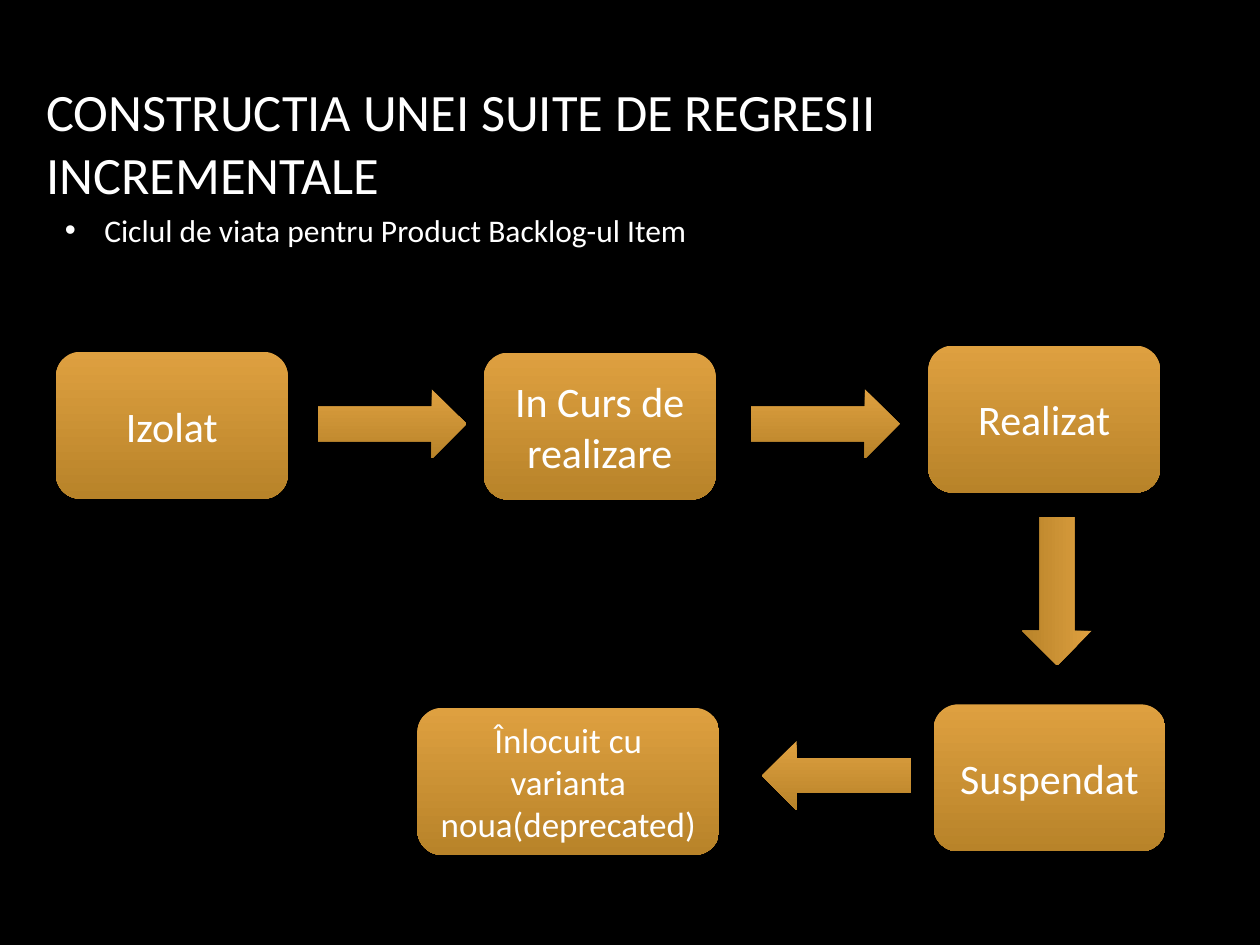
import pptx
import pptx.util
import pptx.dml.color
import pptx.enum.shapes
import pptx.enum.text
import lxml.etree

Pt = pptx.util.Pt
RGBColor = pptx.dml.color.RGBColor
MSO_SHAPE = pptx.enum.shapes.MSO_SHAPE
PP_ALIGN = pptx.enum.text.PP_ALIGN

BLACK = RGBColor(0x00, 0x00, 0x00)
WHITE = RGBColor(0xFF, 0xFF, 0xFF)
GOLD = RGBColor(0xDE, 0xA0, 0x40)
BRONZE = RGBColor(0xB8, 0x83, 0x29)
FONT = "Calibri"

TITLE = ("CONSTRUCTIA UNEI SUITE DE REGRESII INCREMENTALE", (19.5, 48, 684.5, 66.5), 30)
SUBTITLE = ("Ciclul de viata pentru Product Backlog-ul Item", (30, 114, 660, 34.5), 18)
BULLET_INDENT = 22.5

STATE_WIDTH, STATE_HEIGHT = 132.5, 84
STATES = [
    ("Izolat", 32, 201, STATE_WIDTH, 24),
    ("In Curs de realizare", 276.5, 201.5, STATE_WIDTH, 24),
    ("Realizat", 530.5, 197.5, STATE_WIDTH, 24),
    ("Suspendat", 533.5, 402.5, STATE_WIDTH, 24),
    ("Înlocuit cu varianta noua(deprecated)", 238.5, 404.5, 172.5, 20),
]

STEP_WIDTH, STEP_HEIGHT = 85, 39.5
STEPS = [
    (181.5, 222.5, 0, False),
    (429, 222.5, 0, False),
    (561.5, 318, 90, False),
    (435.5, 423.5, 0, True),
]


def write(shape, text, size, align):
    frame = shape.text_frame
    frame.word_wrap = True
    frame.vertical_anchor = pptx.enum.text.MSO_ANCHOR.MIDDLE
    frame.text = text
    paragraph = frame.paragraphs[0]
    paragraph.alignment = align
    font = paragraph.runs[0].font
    font.name = FONT
    font.size = Pt(size)
    font.color.rgb = WHITE
    return paragraph


def add_heading(slide, text, box, size):
    heading = slide.shapes.add_textbox(*map(Pt, box))
    return write(heading, text, size, PP_ALIGN.LEFT)


def add_bullet(paragraph):
    paragraph.space_after = Pt(10)
    properties = paragraph._p.get_or_add_pPr()
    properties.set("marL", str(Pt(BULLET_INDENT)))
    properties.set("indent", str(-Pt(BULLET_INDENT)))
    bullet_font = lxml.etree.SubElement(properties, pptx.oxml.ns.qn("a:buFont"))
    bullet_font.set("typeface", "Arial")
    bullet = lxml.etree.SubElement(properties, pptx.oxml.ns.qn("a:buChar"))
    bullet.set("char", "•")


def add_gold_shape(slide, kind, *box):
    shape = slide.shapes.add_shape(kind, *map(Pt, box))
    shape.shadow.inherit = False
    shape.line.fill.background()
    shape.fill.gradient()
    shape.fill.gradient_angle = 270
    for stop, color, position in zip(shape.fill.gradient_stops, (GOLD, BRONZE), (0, 1)):
        stop.color.rgb = color
        stop.position = position
    return shape


def main():
    deck = pptx.Presentation()
    deck.slide_width, deck.slide_height = Pt(720), Pt(540)
    slide = deck.slides.add_slide(deck.slide_layouts[6])
    slide.background.fill.solid()
    slide.background.fill.fore_color.rgb = BLACK

    add_heading(slide, *TITLE)
    add_bullet(add_heading(slide, *SUBTITLE))

    for label, left, top, width, size in STATES:
        state = add_gold_shape(slide, MSO_SHAPE.ROUNDED_RECTANGLE, left, top, width, STATE_HEIGHT)
        write(state, label, size, PP_ALIGN.CENTER)

    for left, top, rotation, flipped in STEPS:
        step = add_gold_shape(slide, MSO_SHAPE.RIGHT_ARROW, left, top, STEP_WIDTH, STEP_HEIGHT)
        step.rotation = rotation
        if flipped:
            step._element.spPr.xfrm.set("flipH", "1")

    deck.save("out.pptx")


if __name__ == "__main__":
    main()
